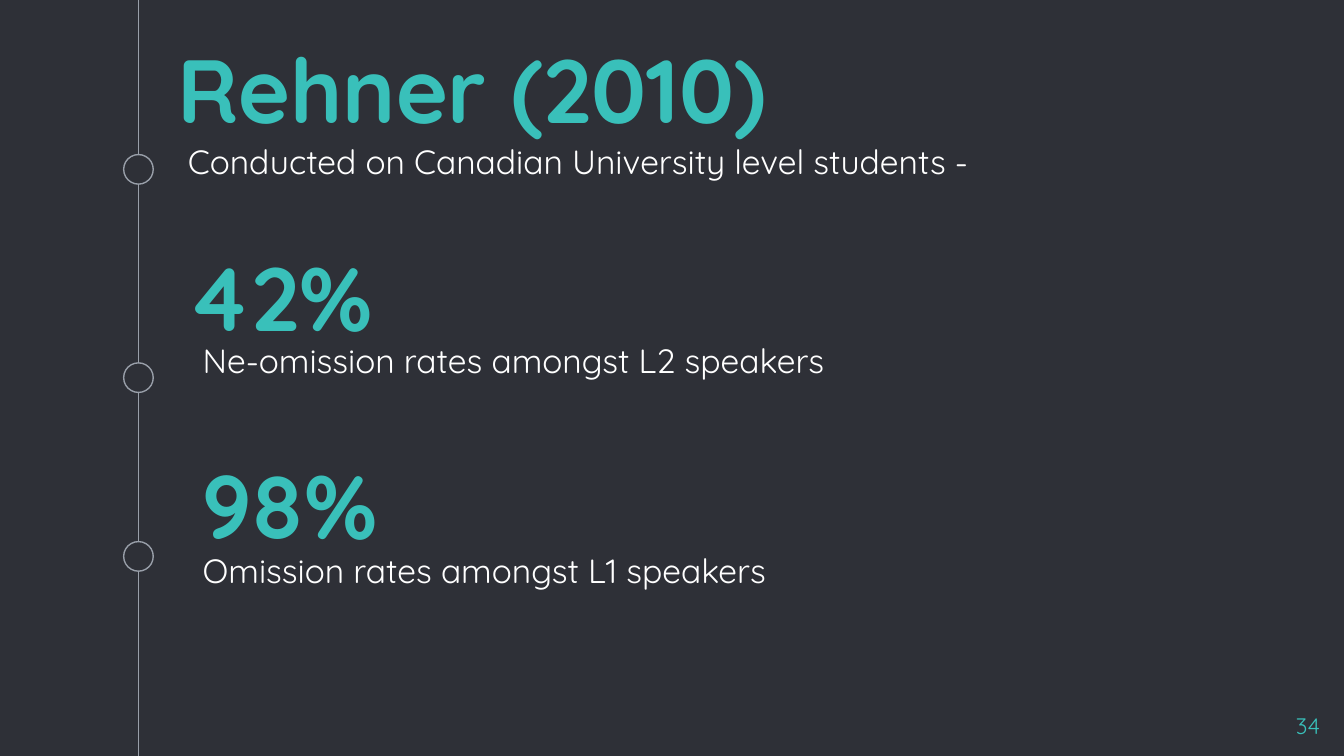
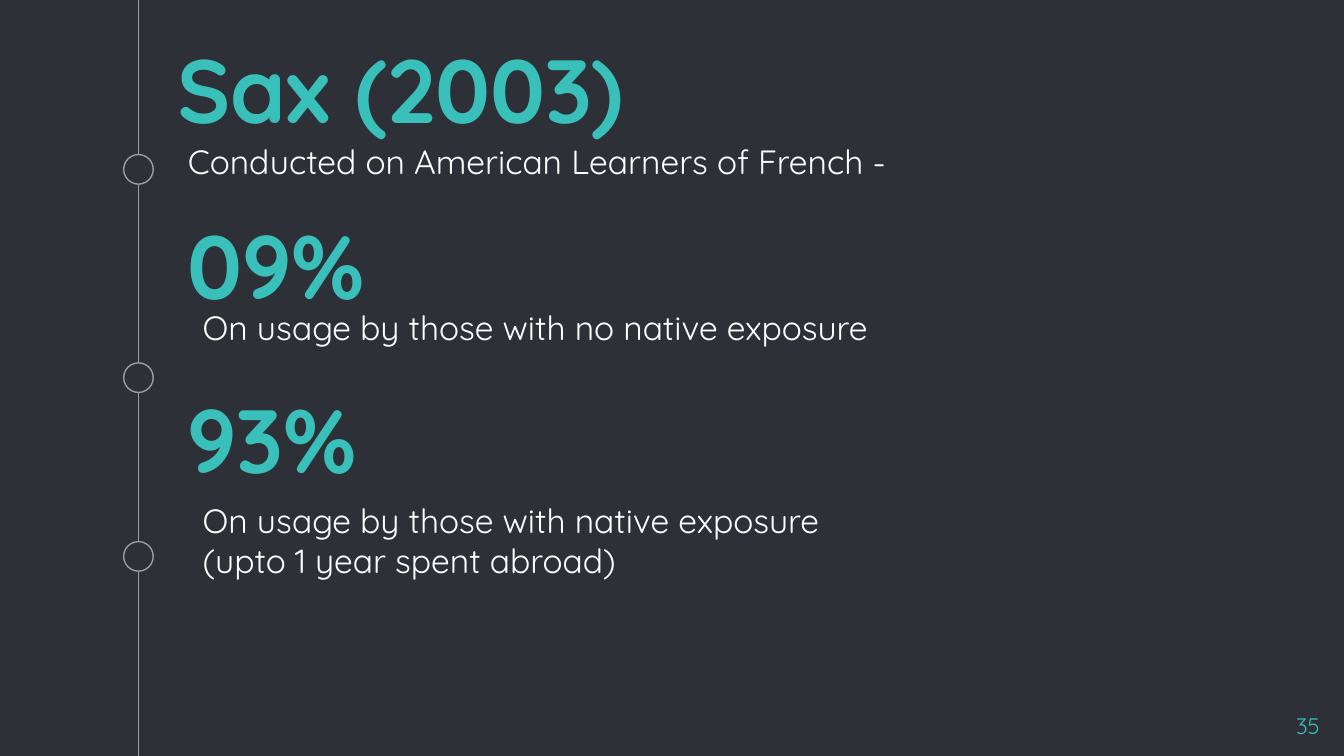
from lxml import etree
from pptx import Presentation
from pptx.dml.color import RGBColor
from pptx.enum.shapes import MSO_CONNECTOR, MSO_SHAPE
from pptx.enum.text import MSO_ANCHOR, PP_ALIGN
from pptx.oxml.ns import qn
from pptx.util import Inches, Pt

DARK = RGBColor(0x2E, 0x30, 0x37)
GREY = RGBColor(0x99, 0x9F, 0xA9)
TEAL = RGBColor(0x39, 0xC0, 0xBA)
WHITE = RGBColor(0xFF, 0xFF, 0xFF)
FONT = "Quicksand"

# Timeline
LINE_X = 1.03
DOT_LEFT = 0.92
DOT = 0.22
DOT_TOPS = (1.15, 2.7, 4.03)

# Text styles: size, colour, bold, anchor, space before, vertical inset, alignment
HEADING = (48, TEAL, True, MSO_ANCHOR.BOTTOM, 0, 0.1, PP_ALIGN.LEFT)
CAPTION = (18, WHITE, False, MSO_ANCHOR.TOP, 6, 0.1, PP_ALIGN.LEFT)
FREE_HEADING = (48, TEAL, True, MSO_ANCHOR.TOP, 0, 0.05, PP_ALIGN.LEFT)
FREE_CAPTION = (18, WHITE, False, MSO_ANCHOR.TOP, 0, 0.05, PP_ALIGN.LEFT)
NUMBER = (12, TEAL, False, MSO_ANCHOR.TOP, 0, 0.1, PP_ALIGN.RIGHT)

# Box sizes
WIDE_HEADING = (7.76, 0.98)
WIDE_CAPTION = (7.76, 0.51)

# Each slide: number, title, subtitle, then its figures as (text, left, top, size, style)
SLIDES = [
    (34, "Rehner (2010)", "Conducted on Canadian University level students -", [
        ("42%", 1.3, 1.72, WIDE_HEADING, HEADING),
        ("Ne-omission rates amongst L2 speakers", 1.41, 2.43, WIDE_CAPTION, CAPTION),
        ("98%", 1.41, 3.27, WIDE_HEADING, HEADING),
        ("Omission rates amongst L1 speakers", 1.41, 3.99, WIDE_CAPTION, CAPTION),
    ]),
    (35, "Sax (2003)", "Conducted on American Learners of French -", [
        ("09%", 1.3, 1.48, WIDE_HEADING, HEADING),
        ("On usage by those with no native exposure", 1.41, 2.18, WIDE_CAPTION, CAPTION),
        ("93%", 1.3, 2.81, (5, 0.91), FREE_HEADING),
        ("On usage by those with native exposure (upto 1 year spent abroad)",
         1.41, 3.67, (5, 0.71), FREE_CAPTION),
    ]),
]


def add_text(s, text, left, top, box, style):
    size, colour, bold, anchor, before, inset, align = style
    width, height = box
    sp = s.shapes.add_textbox(Inches(left), Inches(top), Inches(width), Inches(height))
    tf = sp.text_frame
    tf.word_wrap = True
    tf.vertical_anchor = anchor
    tf.margin_left = tf.margin_right = Inches(0.1)
    tf.margin_top = tf.margin_bottom = Inches(inset)
    p = tf.paragraphs[0]
    p.text = text
    p.alignment = align
    p.space_before = Pt(before)
    p.font.name = FONT
    p.font.size = Pt(size)
    p.font.bold = bold
    p.font.color.rgb = colour


# Widescreen, 16:9
prs = Presentation()
prs.slide_width = Inches(10)
prs.slide_height = Inches(10 * 9 / 16)

for number, title, subtitle, figures in SLIDES:
    s = prs.slides.add_slide(prs.slide_layouts[6])
    s.background.fill.solid()
    s.background.fill.fore_color.rgb = DARK

    # Timeline with its dots
    line = s.shapes.add_connector(MSO_CONNECTOR.STRAIGHT, Inches(LINE_X), 0,
                                  Inches(LINE_X), prs.slide_height)
    line.line.color.rgb = GREY
    line.line.width = Pt(0.75)
    etree.SubElement(line._element.spPr, qn("a:effectLst"))
    for top in DOT_TOPS:
        dot = s.shapes.add_shape(MSO_SHAPE.OVAL, Inches(DOT_LEFT), Inches(top),
                                 Inches(DOT), Inches(DOT))
        dot.shadow.inherit = False
        dot.fill.solid()
        dot.fill.fore_color.rgb = DARK
        dot.line.color.rgb = GREY
        dot.line.width = Pt(0.75)

    # Title, subtitle, figures and slide number
    add_text(s, title, 1.22, 0.17, WIDE_HEADING, HEADING)
    add_text(s, subtitle, 1.3, 0.95, WIDE_CAPTION, CAPTION)
    for figure in figures:
        add_text(s, *figure)
    add_text(s, str(number), 9.32, 5.2, (0.6, 0.34), NUMBER)

prs.save("out.pptx")
